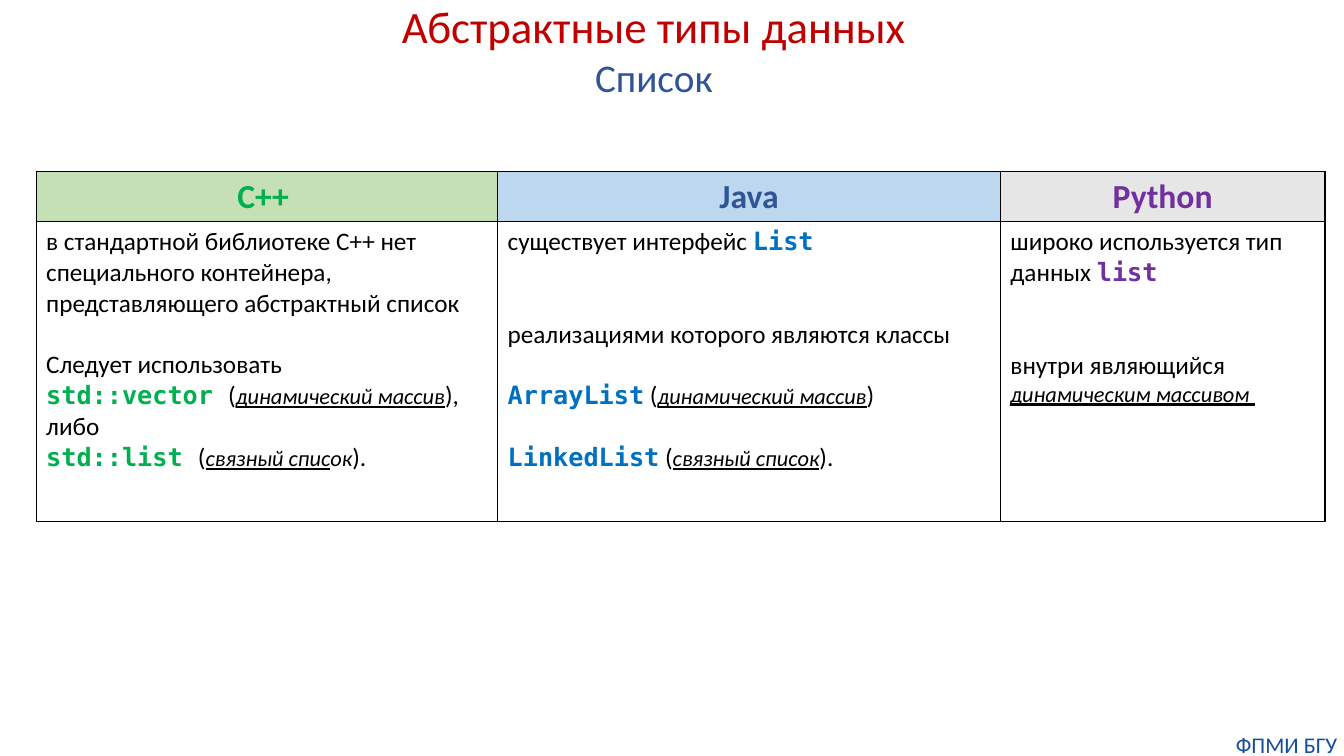
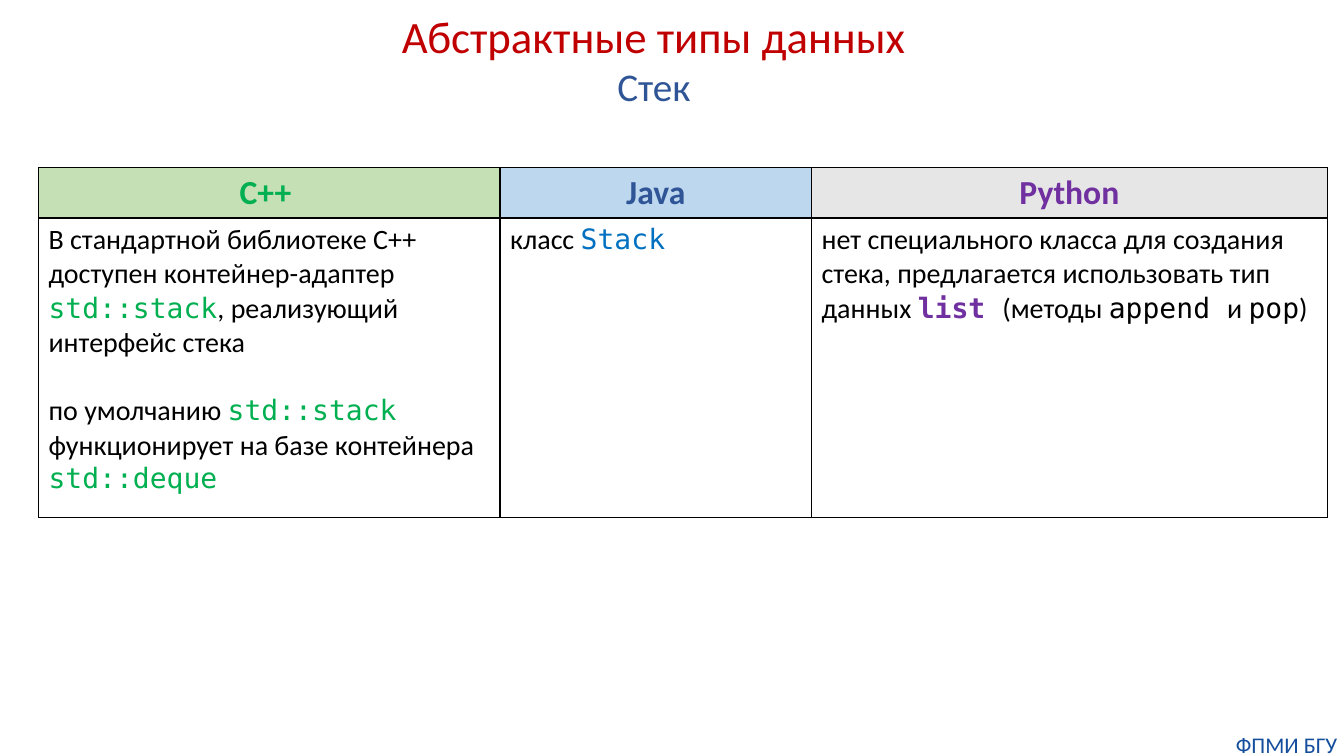
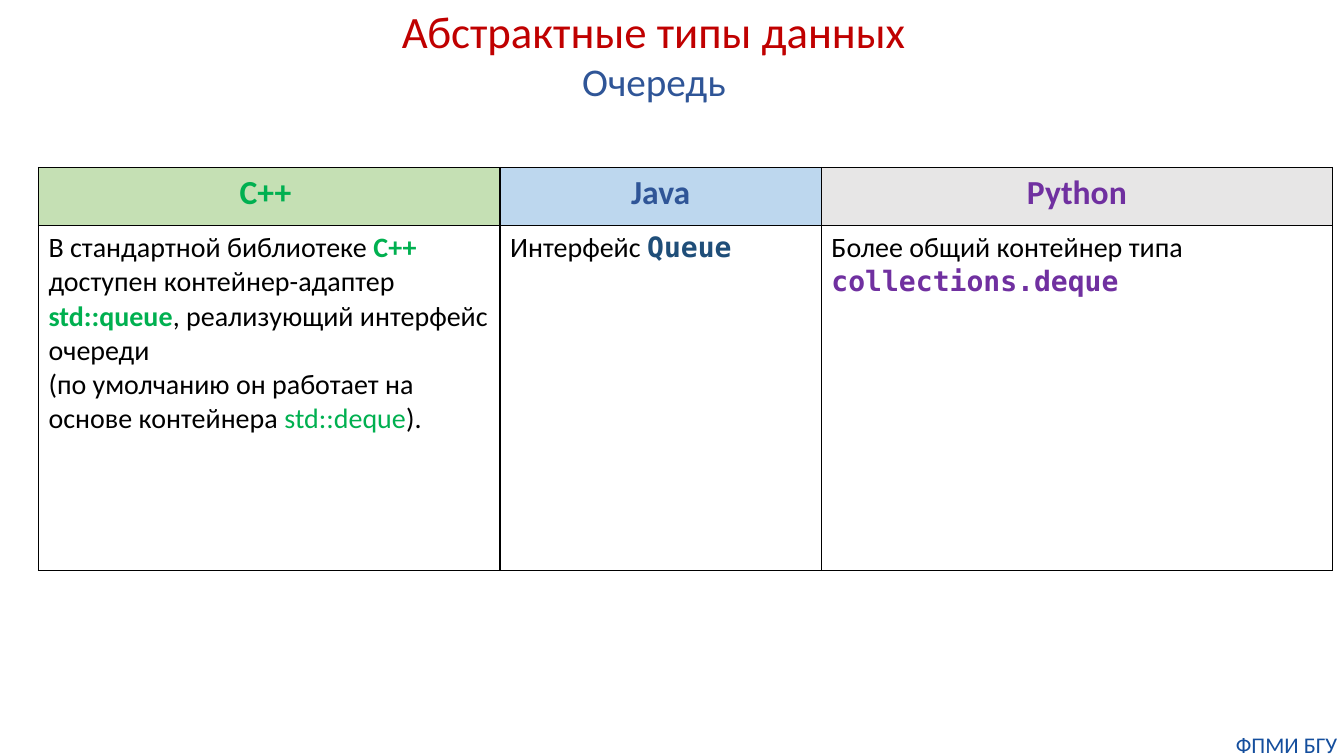
from dataclasses import dataclass

from lxml.etree import SubElement
from pptx import Presentation
from pptx.dml.color import RGBColor
from pptx.enum.text import MSO_ANCHOR as Anchor, MSO_AUTO_SIZE as AutoSize, PP_ALIGN as Align
from pptx.oxml.ns import qn
from pptx.util import Cm, Pt


@dataclass(frozen=True)
class Theme:
    text_font: str = "Calibri"
    code_font: str = "DejaVu Sans Mono"
    black: str = "000000"
    red: str = "C00000"
    navy: str = "2F5597"
    footer_blue: str = "144E9D"
    green: str = "00B050"
    blue: str = "0070C0"
    dark_blue: str = "1F4E79"
    purple: str = "7030A0"
    green_fill: str = "C5E0B4"
    blue_fill: str = "BDD7EE"
    grey_fill: str = "E7E6E6"
    title_size: int = 32
    subtitle_size: int = 28
    header_size: int = 24
    footer_size: int = 16
    note_size: int = 16
    border_width: int = 1


THEME = Theme()


def add_span(para, text, size, color=THEME.black, font=THEME.text_font,
             bold=False, italic=False, underline=False):
    span = para.add_run()
    span.text = text
    span.font.size = Pt(size)
    span.font.name = font
    span.font.color.rgb = RGBColor.from_string(color)
    span.font.bold = bold
    span.font.italic = italic
    span.font.underline = underline


def draw_borders(cell):
    properties = cell._tc.get_or_add_tcPr()
    for side in ("lnL", "lnR", "lnT", "lnB"):
        line = SubElement(properties, qn(f"a:{side}"), w=str(Pt(THEME.border_width)))
        fill = SubElement(line, qn("a:solidFill"))
        SubElement(fill, qn("a:srgbClr"), val=THEME.black)


# Span formats
PLAIN = {}
NOTE = dict(size=THEME.note_size, italic=True, underline=True)
NOTE_END = dict(size=THEME.note_size, italic=True)
GREEN = dict(color=THEME.green)
GREEN_BOLD = dict(color=THEME.green, bold=True)
GREEN_CODE = dict(color=THEME.green, font=THEME.code_font)
GREEN_CODE_BOLD = dict(GREEN_CODE, bold=True)
BLUE_CODE = dict(color=THEME.blue, font=THEME.code_font)
BLUE_CODE_BOLD = dict(BLUE_CODE, bold=True)
DARK_CODE_BOLD = dict(color=THEME.dark_blue, font=THEME.code_font, bold=True)
PURPLE_CODE_BOLD = dict(color=THEME.purple, font=THEME.code_font, bold=True)
CODE = dict(font=THEME.code_font)

HEADERS = [
    ("C++ ", THEME.green, THEME.green_fill),
    ("Java", THEME.navy, THEME.blue_fill),
    ("Python", THEME.purple, THEME.grey_fill),
]

# Each cell is a list of paragraphs: (space before in points, spans)
PAGES = [
    dict(
        subtitle="Список", title_top=-0.15, table_at=(0.91, 4.32),
        columns=(11.63, 12.67, 8.18), rows=(1.27, 7.54), size=18,
        cells=[
            [
                (0, [("в стандартной библиотеке С++ нет специального контейнера, "
                      "представляющего абстрактный список", PLAIN)]),
                (22, [("Следует использовать", PLAIN)]),
                (0, [("std::vector ", GREEN_CODE_BOLD), ("(", PLAIN),
                     ("динамический массив", NOTE), ("),", PLAIN)]),
                (0, [("либо", PLAIN)]),
                (0, [("std::list ", GREEN_CODE_BOLD), ("(", PLAIN),
                     ("связный спис", NOTE), ("ок", NOTE_END), (").", PLAIN)]),
            ],
            [
                (0, [("существует интерфейс ", PLAIN), ("List", BLUE_CODE_BOLD)]),
                (44, [("реализациями которого являются классы", PLAIN)]),
                (22, [("ArrayList", BLUE_CODE_BOLD), (" (", PLAIN),
                      ("динамический массив", NOTE), (")", PLAIN)]),
                (22, [("LinkedList", BLUE_CODE_BOLD), (" (", PLAIN),
                      ("связный список", NOTE), (").", PLAIN)]),
            ],
            [
                (0, [("широко используется тип данных ", PLAIN), ("list", PURPLE_CODE_BOLD)]),
                (44, [("внутри являющийся ", PLAIN), ("динамическим массивом ", NOTE)]),
            ],
        ],
    ),
    dict(
        subtitle="Стек", title_top=0.1, table_at=(0.97, 4.22),
        columns=(11.63, 7.85, 13), rows=(1.27, 7.54), size=20,
        cells=[
            [
                (0, [("В стандартной библиотеке С++ доступен контейнер-адаптер ", PLAIN),
                     ("std::stack", GREEN_CODE), (", реализующий интерфейс стека", PLAIN)]),
                (24.4, [("по умолчанию ", PLAIN), ("std::stack ", GREEN_CODE),
                        ("функционирует на базе контейнера ", PLAIN),
                        ("std::deque", GREEN_CODE)]),
            ],
            [(0, [("класс ", PLAIN), ("Stack", BLUE_CODE)])],
            [(0, [("нет специального класса для создания стека, "
                   "предлагается использовать тип данных ", PLAIN),
                  ("list ", PURPLE_CODE_BOLD), ("(методы ", PLAIN), ("append ", CODE),
                  ("и ", PLAIN), ("pop", CODE), (")", PLAIN)])],
        ],
    ),
    dict(
        subtitle="Очередь", title_top=-0.03, table_at=(0.97, 4.22),
        columns=(11.63, 8.1, 12.88), rows=(1.47, 8.69), size=20,
        cells=[
            [
                (0, [("В стандартной библиотеке ", PLAIN), ("C++ ", GREEN_BOLD),
                     ("доступен контейнер-адаптер ", PLAIN), ("std::queue", GREEN_BOLD),
                     (", реализующий интерфейс очереди", PLAIN)]),
                (0, [("(по умолчанию он работает на основе контейнера ", PLAIN),
                     ("std::deque", GREEN), (").", PLAIN)]),
            ],
            [(0, [("Интерфейс ", PLAIN), ("Queue", DARK_CODE_BOLD)])],
            [(0, [("Более общий контейнер типа ", PLAIN),
                  ("collections.deque", PURPLE_CODE_BOLD)])],
        ],
    ),
]

deck = Presentation()
deck.slide_width, deck.slide_height = Cm(33.87), Cm(19.05)
title_only = deck.slide_layouts[5]

for content in PAGES:
    page = deck.slides.add_slide(title_only)

    title = page.shapes.title
    title.left, title.top = Cm(2.46), Cm(content["title_top"])
    title.width, title.height = Cm(28.04), Cm(2.82)
    frame = title.text_frame
    frame.auto_size = AutoSize.SHAPE_TO_FIT_TEXT
    frame.vertical_anchor = Anchor.TOP
    frame.paragraphs[0].alignment = Align.CENTER
    add_span(frame.paragraphs[0], "Абстрактные типы данных", THEME.title_size, color=THEME.red)
    para = frame.add_paragraph()
    para.alignment = Align.CENTER
    add_span(para, content["subtitle"], THEME.subtitle_size, color=THEME.navy)

    left, top = content["table_at"]
    table = page.shapes.add_table(
        2, len(HEADERS), Cm(left), Cm(top),
        Cm(sum(content["columns"])), Cm(sum(content["rows"]))).table
    table.first_row = table.horz_banding = False
    for column, width in zip(table.columns, content["columns"]):
        column.width = Cm(width)
    for row, height in zip(table.rows, content["rows"]):
        row.height = Cm(height)
    for cell in table.iter_cells():
        draw_borders(cell)
        cell.fill.background()

    for index, (language, color, fill) in enumerate(HEADERS):
        header = table.cell(0, index)
        header.fill.solid()
        header.fill.fore_color.rgb = RGBColor.from_string(fill)
        para = header.text_frame.paragraphs[0]
        para.alignment = Align.CENTER
        add_span(para, language, THEME.header_size, color=color, bold=True)

        frame = table.cell(1, index).text_frame
        for number, (space, spans) in enumerate(content["cells"][index]):
            para = frame.add_paragraph() if number else frame.paragraphs[0]
            if space:
                para.space_before = Pt(space)
            for text, style in spans:
                add_span(para, text, **{"size": content["size"], **style})

    footer = page.shapes.add_textbox(Cm(30.99), Cm(18.42), Cm(2.87), Cm(0.69))
    frame = footer.text_frame
    frame.word_wrap = True
    frame.auto_size = AutoSize.SHAPE_TO_FIT_TEXT
    frame.margin_left = frame.margin_right = frame.margin_top = frame.margin_bottom = 0
    frame.paragraphs[0].alignment = Align.CENTER
    add_span(frame.paragraphs[0], "ФПМИ БГУ", THEME.footer_size, color=THEME.footer_blue)

deck.save("out.pptx")
